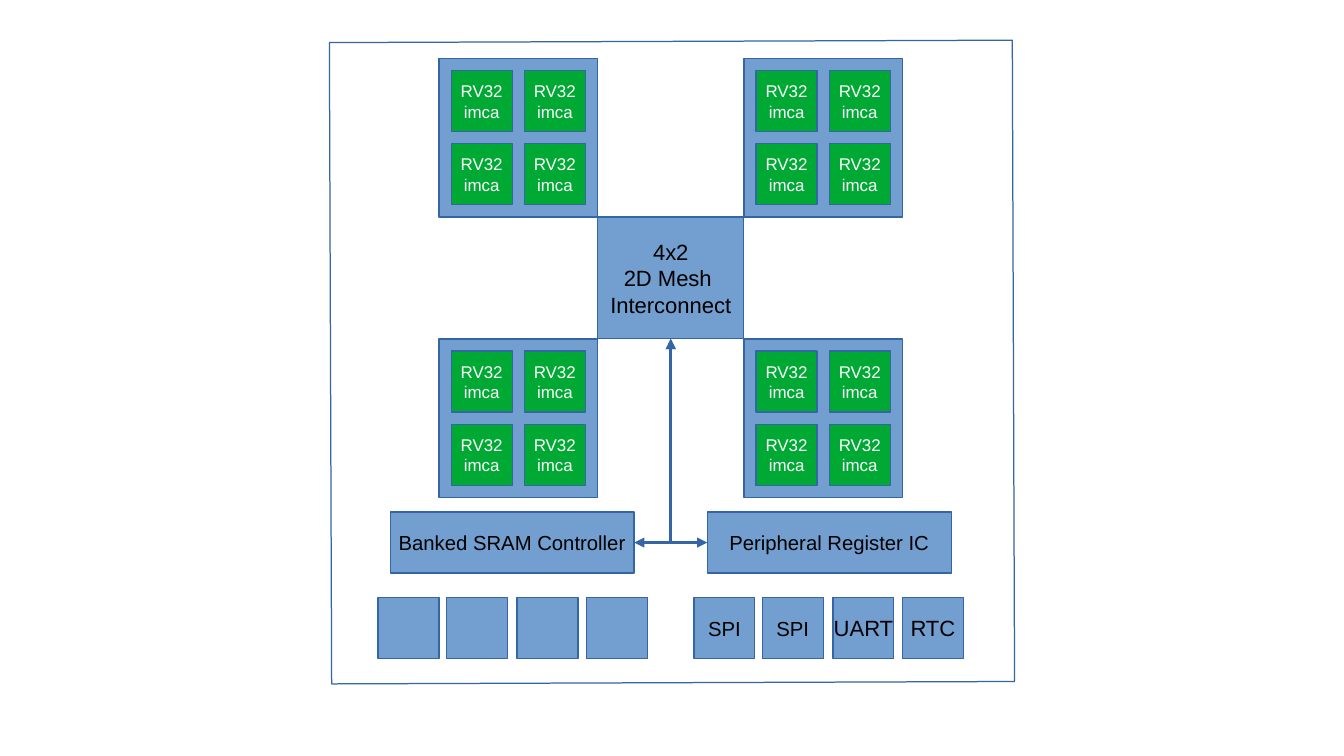
from itertools import product

from lxml.etree import SubElement
from pptx import Presentation
from pptx.dml.color import RGBColor
from pptx.enum.shapes import MSO_CONNECTOR, MSO_SHAPE
from pptx.enum.text import MSO_ANCHOR, PP_ALIGN
from pptx.oxml.ns import qn
from pptx.util import Inches, Pt

COLORS = {"block": "729FCF", "core": "00A933", "outline": "3465A4",
          "white": "FFFFFF", "black": "000000"}

prs = Presentation()
prs.slide_width, prs.slide_height = Inches(11.02), Inches(6.2)
slide = prs.slides.add_slide(prs.slide_layouts[6])
shapes = slide.shapes


def rgb(name):
    return RGBColor.from_string(COLORS[name])


def add_block(text, left, top, width, height, fill="block", size=12, color="black"):
    block = shapes.add_shape(MSO_SHAPE.RECTANGLE, Inches(left), Inches(top),
                             Inches(width), Inches(height))
    block.shadow.inherit = False
    block.fill.solid()
    block.fill.fore_color.rgb = rgb(fill)
    block.line.color.rgb = rgb("outline")
    block.line.width = 0
    if text:
        frame = block.text_frame
        frame.word_wrap = False
        frame.vertical_anchor = MSO_ANCHOR.MIDDLE
        frame.text = text
        for paragraph in frame.paragraphs:
            paragraph.alignment = PP_ALIGN.CENTER
            font = paragraph.runs[0].font
            font.name, font.size = "Arial", Pt(size)
            font.color.rgb = rgb(color)
    return block


# Chip outline, slightly tilted
chip = add_block("", 2.71, 0.34, 5.6, 5.26, fill="white")
chip.rotation = 359.8

# Four clusters of 2 x 2 cores around the mesh
for cluster_left, cluster_top in product((3.6, 6.1), (0.48, 2.78)):
    add_block("", cluster_left, cluster_top, 1.3, 1.3)
    for row, col in product(range(2), repeat=2):
        add_block("RV32\nimca", cluster_left + 0.1 + 0.6 * col,
                  cluster_top + 0.1 + 0.6 * row, 0.5, 0.5,
                  fill="core", size=10, color="white")

mesh = add_block("4x2\n2D Mesh \nInterconnect", 4.9, 1.78, 1.2, 1, size=13)
sram_controller = add_block("Banked SRAM Controller", 3.2, 4.2, 2, 0.5)
register_ic = add_block("Peripheral Register IC", 5.8, 4.2, 2, 0.5)

# Bent links run down from the mesh, then sideways to each controller
bus_x, bus_top, bus_bottom = 5.5, 2.78, 4.45
drop, reach = bus_bottom - bus_top, 0.3
for controller, side, direction, rotation in (
        (sram_controller, 3, -1, 90), (register_ic, 1, 1, 270)):
    link = shapes.add_connector(MSO_CONNECTOR.ELBOW, Inches(bus_x), Inches(bus_top),
                                Inches(bus_x + direction * reach), Inches(bus_bottom))
    link.begin_connect(mesh, 2)
    link.end_connect(controller, side)
    link.line.color.rgb = rgb("outline")
    link.line.width = 0

    # A rotated frame keeps the centre and swaps width with height
    link.left = Inches(bus_x + direction * reach / 2 - drop / 2)
    link.top = Inches((bus_top + bus_bottom - reach) / 2)
    link.width, link.height = Inches(drop), Inches(reach)
    properties = link._element.spPr
    properties.find(qn("a:prstGeom")).set("prst", "bentConnector2")
    transform = properties.find(qn("a:xfrm"))
    transform.set("rot", str(rotation * 60000))
    transform.set("flipH", "1" if direction > 0 else "0")
    line = properties.find(qn("a:ln"))
    for end in ("a:headEnd", "a:tailEnd"):
        SubElement(line, qn(end), type="triangle")
    SubElement(properties, qn("a:effectLst"))

# Memory banks and peripherals share the same column offsets
column_offsets = (0, 0.56, 1.14, 1.71)
peripherals = (("SPI", 12), ("SPI", 12), ("UART", 13), ("RTC", 13))
for offset, (peripheral, size) in zip(column_offsets, peripherals):
    add_block("", 3.1 + offset, 4.9, 0.5, 0.5)
    add_block(peripheral, 5.69 + offset, 4.9, 0.5, 0.5, size=size)

prs.save("out.pptx")
